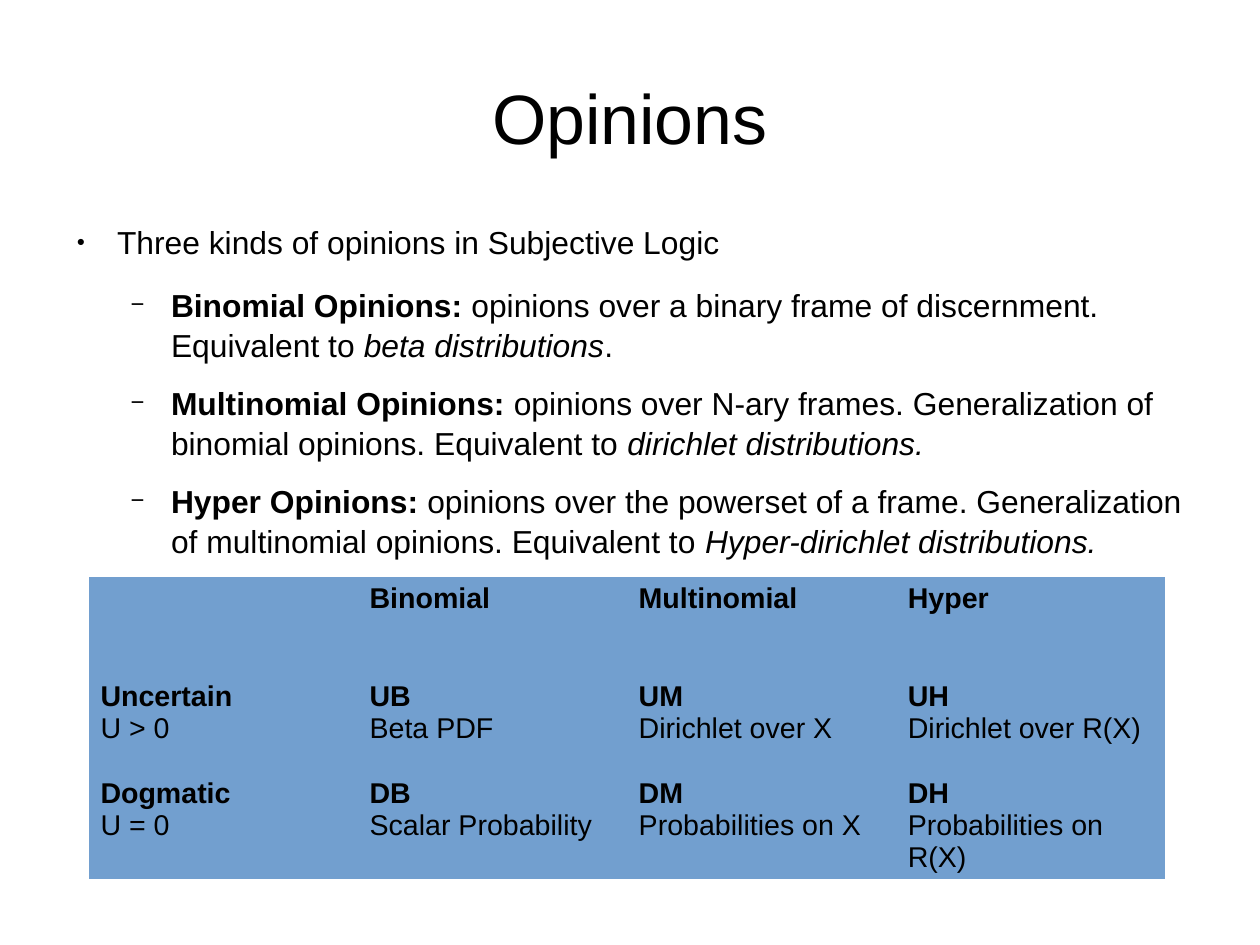
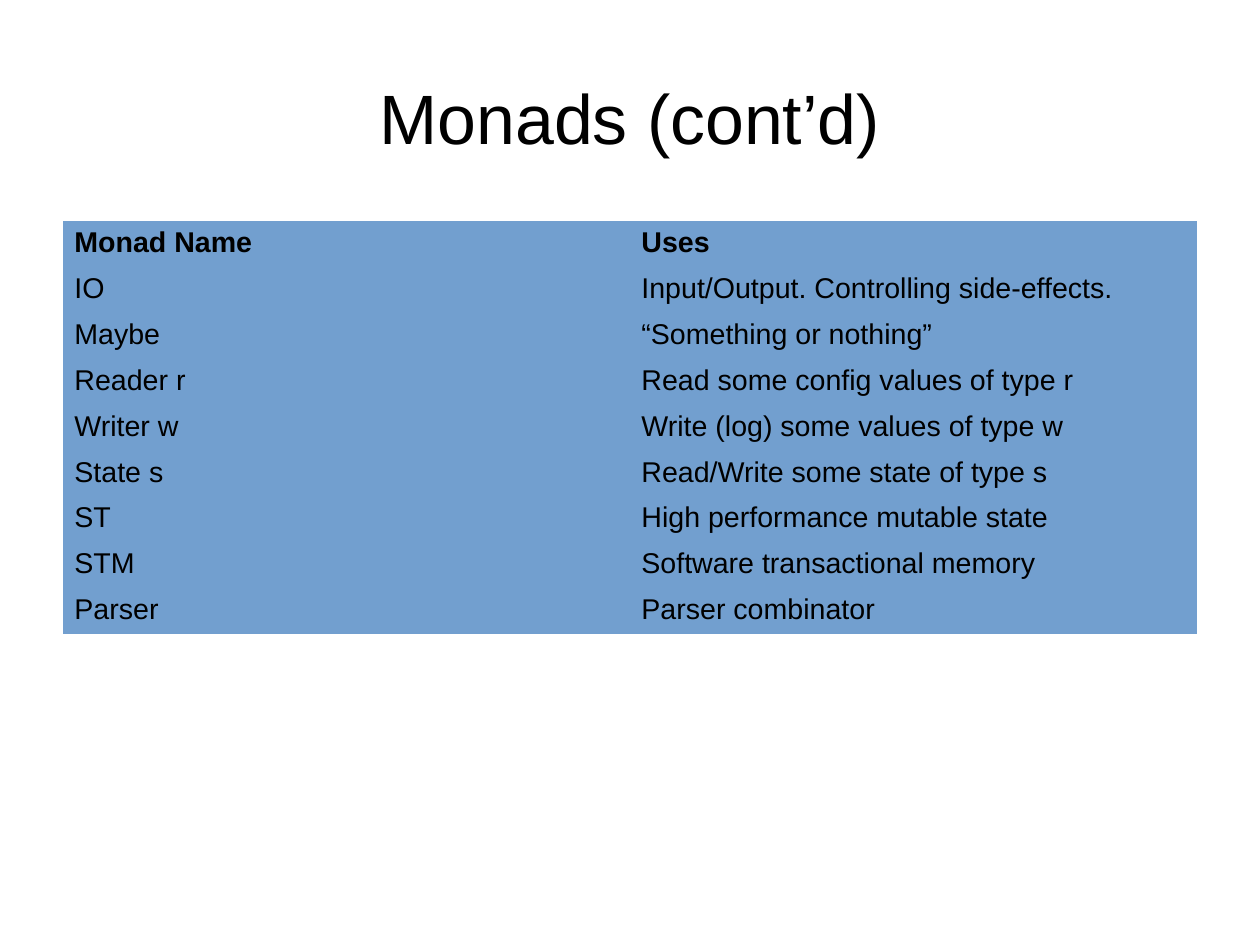
import dataclasses

import lxml.etree
import pptx
import pptx.dml.color
import pptx.enum.text
import pptx.oxml.ns
import pptx.util

Cm = pptx.util.Cm
Pt = pptx.util.Pt
qn = pptx.oxml.ns.qn


@dataclasses.dataclass(frozen=True)
class Theme:
    font: str = "Arial"
    ink: str = "000000"
    cell: str = "729FCF"
    title_size: int = 44
    body_size: int = 20
    table_size: int = 18
    plain_table_style: str = "{2D5ABB26-0587-4C30-8999-92F81FD0307C}"


@dataclasses.dataclass(frozen=True)
class BulletLevel:
    symbol: str
    scale: int
    indent: float
    space_after: float


THEME = Theme()
HANGING = 0.9
LEVELS = (BulletLevel("●", 45, 1.2, 14.2), BulletLevel("−", 75, 2.4, 11.3))

# Boxes in cm: left, top, width, height
TITLE_BOX = (1.4, 0.84, 25.2, 3.51)
BODY_BOX = (1.4, 4.91, 25.2, 12.18)

OPINION_KINDS = (
    (0, (("Three kinds of opinions in Subjective Logic", ""),)),
    (1, (("Binomial Opinions:", "b"),
         (" opinions over a binary frame of discernment. Equivalent to ", ""),
         ("beta distributions", "i"), (".", ""))),
    (1, (("Multinomial Opinions:", "b"),
         (" opinions over N-ary frames. Generalization of binomial opinions. "
          "Equivalent to ", ""),
         ("dirichlet distributions.", "i"))),
    (1, (("Hyper Opinions:", "b"),
         (" opinions over the powerset of a frame. Generalization of "
          "multinomial opinions. Equivalent to ", ""),
         ("Hyper-dirichlet distributions.", "i"))),
)

# Each cell is a tuple of lines
OPINION_CLASSES = (
    ((), ("Binomial",), ("Multinomial",), ("Hyper",)),
    (("Uncertain", "U > 0"), ("UB", "Beta PDF"),
     ("UM", "Dirichlet over X"), ("UH", "Dirichlet over R(X)")),
    (("Dogmatic", "U = 0"), ("DB", "Scalar Probability"),
     ("DM", "Probabilities on X"), ("DH", "Probabilities on R(X)")),
)

MONADS = (
    ("Monad Name", "Uses"),
    ("IO", "Input/Output. Controlling side-effects."),
    ("Maybe", "“Something or nothing”"),
    ("Reader r", "Read some config values of type r"),
    ("Writer w", "Write (log) some values of type w"),
    ("State s", "Read/Write some state of type s"),
    ("ST", "High performance mutable state"),
    ("STM", "Software transactional memory"),
    ("Parser", "Parser combinator"),
)


def rgb(color):
    return pptx.dml.color.RGBColor.from_string(color)


def add_run(paragraph, text, size, style=""):
    run = paragraph.add_run()
    run.text = text
    run.font.name = THEME.font
    run.font.size = Pt(size)
    run.font.color.rgb = rgb(THEME.ink)
    run.font.bold = "b" in style
    run.font.italic = "i" in style


def next_paragraph(frame, index):
    return frame.paragraphs[0] if index == 0 else frame.add_paragraph()


def place_placeholder(placeholder, box, anchor):
    """Move a placeholder to its box and return its text frame."""
    (placeholder.left, placeholder.top,
     placeholder.width, placeholder.height) = map(Cm, box)
    frame = placeholder.text_frame
    frame.margin_left = frame.margin_right = 0
    frame.margin_top = frame.margin_bottom = 0
    frame.word_wrap = True
    frame.auto_size = pptx.enum.text.MSO_AUTO_SIZE.NONE
    frame.vertical_anchor = anchor
    return frame


def set_bullet(paragraph, level):
    properties = paragraph._p.get_or_add_pPr()
    properties.set("marL", str(Cm(level.indent)))
    properties.set("indent", str(-Cm(HANGING)))
    color = lxml.etree.SubElement(properties, qn("a:buClr"))
    lxml.etree.SubElement(color, qn("a:srgbClr"), val=THEME.ink)
    lxml.etree.SubElement(properties, qn("a:buSzPct"), val=str(level.scale * 1000))
    lxml.etree.SubElement(properties, qn("a:buFont"), typeface=THEME.font)
    lxml.etree.SubElement(properties, qn("a:buChar"), char=level.symbol)


def fill_title(slide, text):
    frame = place_placeholder(slide.shapes.title, TITLE_BOX,
                              pptx.enum.text.MSO_ANCHOR.MIDDLE)
    heading = frame.paragraphs[0]
    heading.alignment = pptx.enum.text.PP_ALIGN.CENTER
    add_run(heading, text, THEME.title_size)


def fill_bullets(slide, box, items):
    frame = place_placeholder(slide.placeholders[1], box,
                              pptx.enum.text.MSO_ANCHOR.TOP)
    for index, (depth, runs) in enumerate(items):
        item = next_paragraph(frame, index)
        item.level = depth
        item.line_spacing = 1.05
        item.space_before = Pt(0)
        item.space_after = Pt(LEVELS[depth].space_after)
        set_bullet(item, LEVELS[depth])
        for text, style in runs:
            add_run(item, text, THEME.body_size, style)


def add_grid(slide, left, top, width, row_heights, rows, is_bold):
    """Add a table of equal columns; is_bold(row, line) picks the bold lines."""
    columns = len(rows[0])
    table = slide.shapes.add_table(len(rows), columns, Cm(left), Cm(top),
                                   Cm(width), Cm(sum(row_heights))).table
    table.first_row = table.horz_banding = False
    table._tbl.tblPr.find(qn("a:tableStyleId")).text = THEME.plain_table_style
    for column in table.columns:
        column.width = Cm(width / columns)
    for row_index, (height, row) in enumerate(zip(row_heights, rows)):
        table.rows[row_index].height = Cm(height)
        for column_index, lines in enumerate(row):
            cell = table.cell(row_index, column_index)
            cell.fill.solid()
            cell.fill.fore_color.rgb = rgb(THEME.cell)
            for line_index, line in enumerate(lines):
                add_run(next_paragraph(cell.text_frame, line_index), line,
                        THEME.table_size,
                        "b" if is_bold(row_index, line_index) else "")


def build_opinions(deck):
    slide = deck.slides.add_slide(deck.slide_layouts[1])
    fill_title(slide, "Opinions")
    fill_bullets(slide, BODY_BOX, OPINION_KINDS)
    # Opinion classes: the first line of each cell is its heading
    add_grid(slide, 1.98, 12.83, 23.92, (2.16, 2.16, 2.39), OPINION_CLASSES,
             lambda row, line: line == 0)


def build_monads(deck):
    slide = deck.slides.add_slide(deck.slide_layouts[5])
    fill_title(slide, "Monads (cont’d)")
    # Monad list: only the top row is a heading
    left, top, width, _ = BODY_BOX
    rows = [[(text,) for text in row] for row in MONADS]
    add_grid(slide, left, top, width, [1.02] * len(rows), rows,
             lambda row, line: row == 0)


def main():
    deck = pptx.Presentation()
    deck.slide_width, deck.slide_height = Cm(28), Cm(21)
    build_opinions(deck)
    build_monads(deck)
    deck.save("out.pptx")


if __name__ == "__main__":
    main()
